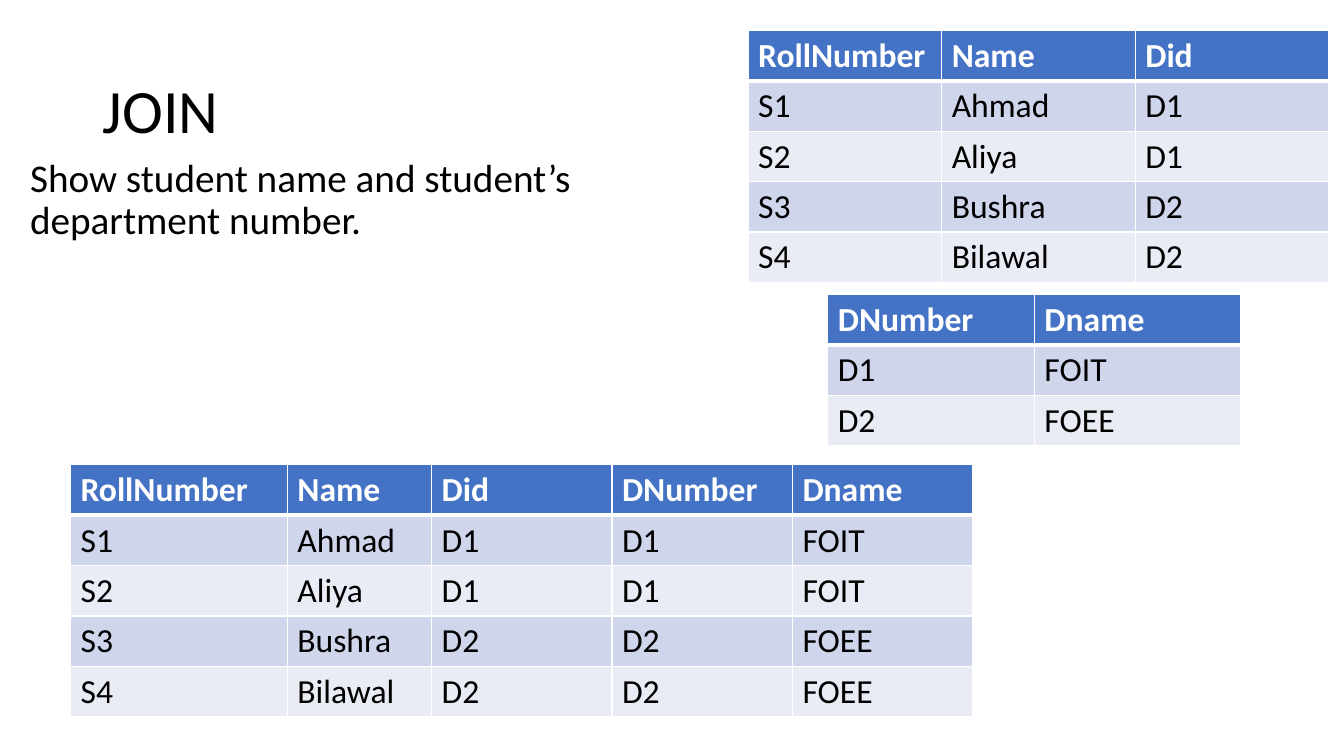
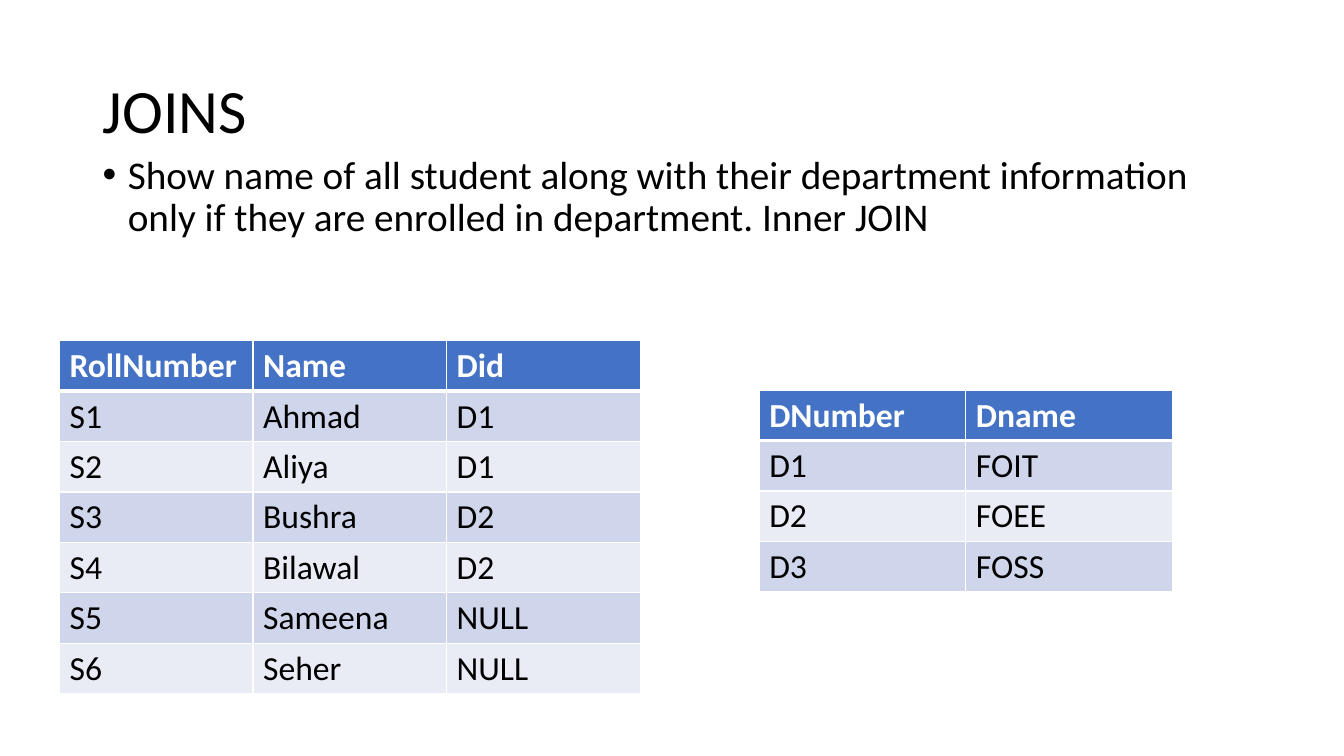
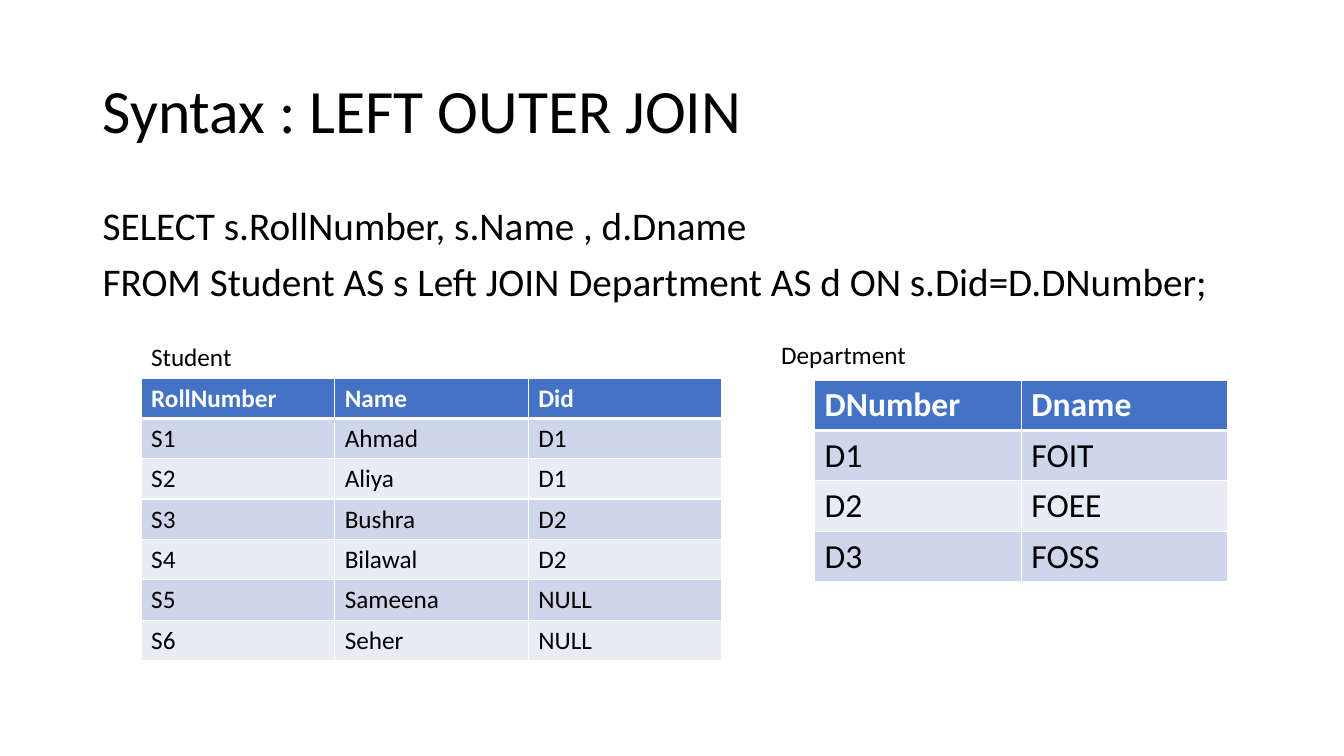
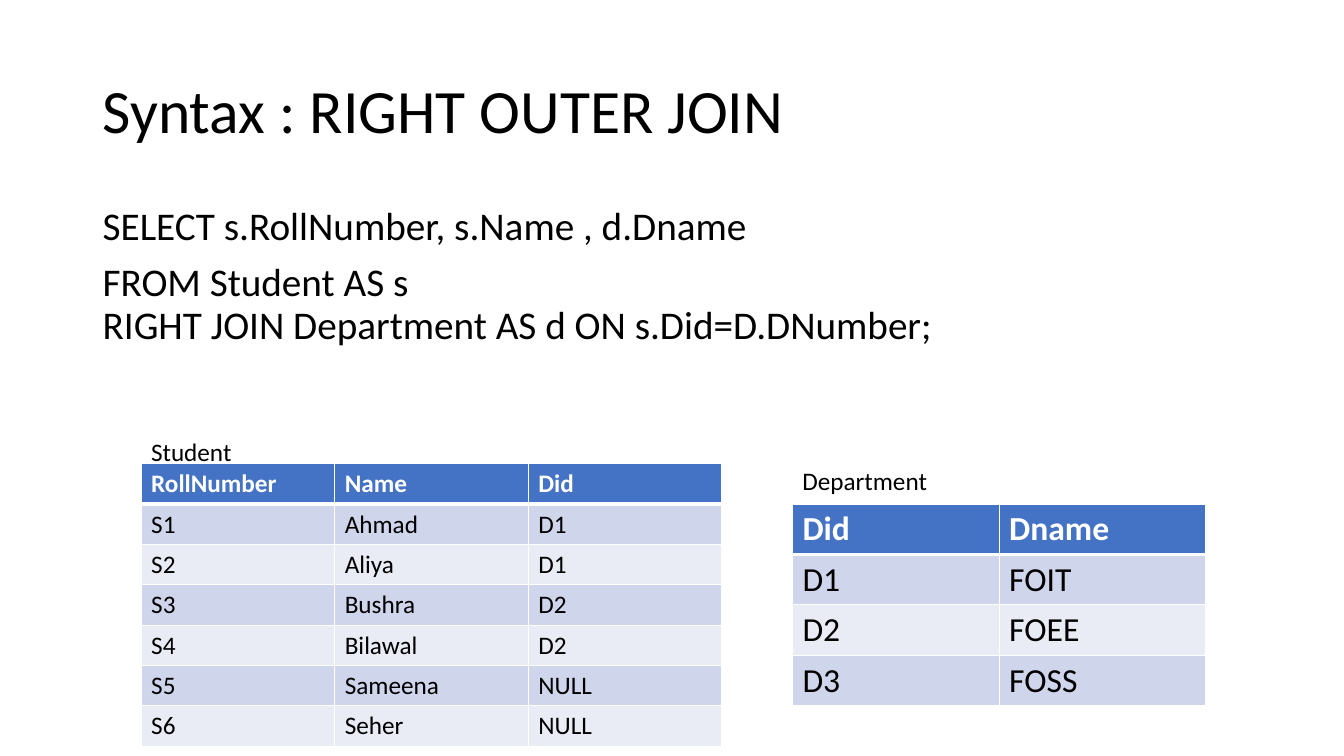
"""Build four slides that explain SQL joins with student and department tables."""
import pptx
import pptx.dml.color
import pptx.enum.text
import pptx.oxml
import pptx.oxml.ns
import pptx.util
from pptx.util import Inches

BLACK = pptx.dml.color.RGBColor(0x00, 0x00, 0x00)
WHITE = pptx.dml.color.RGBColor(0xFF, 0xFF, 0xFF)
HEADER_BLUE = pptx.dml.color.RGBColor(0x44, 0x72, 0xC4)
DARK_BAND = pptx.dml.color.RGBColor(0xCF, 0xD5, 0xEA)
LIGHT_BAND = pptx.dml.color.RGBColor(0xE9, 0xEB, 0xF5)

STUDENT_HEADER = ("RollNumber", "Name", "Did")
STUDENTS = [
    ("S1", "Ahmad", "D1"),
    ("S2", "Aliya", "D1"),
    ("S3", "Bushra", "D2"),
    ("S4", "Bilawal", "D2"),
    ("S5", "Sameena", "NULL"),
    ("S6", "Seher", "NULL"),
]
DEPARTMENT_HEADER = ("DNumber", "Dname")
DEPARTMENTS = [("D1", "FOIT"), ("D2", "FOEE"), ("D3", "FOSS")]
STUDENT_WIDTHS = [1.92] * 3
DEPARTMENT_WIDTHS = [2.05] * 2
JOINED_WIDTHS = [2.15, 1.43] + [1.79] * 3


class Deck:
    font_name = "Calibri"
    title_size = 44
    body_size = 28
    label_size = 18
    row_heights = {18: 0.4, 24: 0.5}

    def __init__(self):
        self.presentation = pptx.Presentation()
        self.presentation.slide_width = Inches(13.33)
        self.presentation.slide_height = Inches(7.5)
        self.slide = None

    def style(self, paragraph, size, color=BLACK, bold=False):
        paragraph.font.name = self.font_name
        paragraph.font.size = pptx.util.Pt(size)
        paragraph.font.color.rgb = color
        paragraph.font.bold = bold

    def text_frame(self, left, top, width, height):
        text_box = self.slide.shapes.add_textbox(
            Inches(left), Inches(top), Inches(width), Inches(height))
        text_box.text_frame.word_wrap = True
        return text_box.text_frame

    def new_slide(self, title):
        self.slide = self.presentation.slides.add_slide(self.presentation.slide_layouts[6])
        frame = self.text_frame(0.92, 0.4, 11.5, 1.45)
        frame.vertical_anchor = pptx.enum.text.MSO_ANCHOR.MIDDLE
        paragraph = frame.paragraphs[0]
        paragraph.text = title
        paragraph.line_spacing = 0.9
        self.style(paragraph, self.title_size)

    def body(self, lines, left=0.92, top=2, width=11.5, height=4.76, bullet=False):
        frame = self.text_frame(left, top, width, height)
        for index, line in enumerate(lines):
            paragraph = frame.add_paragraph() if index else frame.paragraphs[0]
            paragraph.text = line
            paragraph.line_spacing = 0.9
            paragraph.space_before = pptx.util.Pt(10)
            if bullet:
                self.add_bullet(paragraph)
            self.style(paragraph, self.body_size)

    def add_bullet(self, paragraph):
        properties = paragraph._p.get_or_add_pPr()
        properties.set("marL", str(Inches(0.25)))
        properties.set("indent", str(Inches(-0.25)))
        namespace = pptx.oxml.ns.nsdecls("a")
        properties.append(pptx.oxml.parse_xml(f'<a:buFont {namespace} typeface="Arial"/>'))
        properties.append(pptx.oxml.parse_xml(f'<a:buChar {namespace} char="•"/>'))

    def label(self, text, left, top):
        paragraph = self.text_frame(left, top, 3, 0.4).paragraphs[0]
        paragraph.text = text
        self.style(paragraph, self.label_size)

    def table(self, header, records, left, top, widths, size=24):
        rows = [header, *records]
        row_height = self.row_heights[size]
        table = self.slide.shapes.add_table(
            len(rows), len(header), Inches(left), Inches(top),
            Inches(sum(widths)), Inches(row_height * len(rows))).table
        for column, width in zip(table.columns, widths):
            column.width = Inches(width)
        for row_index, values in enumerate(rows):
            table.rows[row_index].height = Inches(row_height)
            for column_index, value in enumerate(values):
                self.fill_cell(table.cell(row_index, column_index), value, row_index, size)

    def fill_cell(self, cell, value, row_index, size):
        is_header = row_index == 0
        band = DARK_BAND if row_index % 2 else LIGHT_BAND
        cell.text = value
        self.style(cell.text_frame.paragraphs[0], size,
                   WHITE if is_header else BLACK, is_header)
        cell.fill.solid()
        cell.fill.fore_color.rgb = HEADER_BLUE if is_header else band
        border_widths = {"L": 1, "R": 1, "T": 3 if row_index == 1 else 1,
                         "B": 3 if is_header else 1}
        properties = cell._tc.get_or_add_tcPr()
        for position, (side, width) in enumerate(border_widths.items()):
            properties.insert(position, pptx.oxml.parse_xml(
                f'<a:ln{side} {pptx.oxml.ns.nsdecls("a")} w="{pptx.util.Pt(width)}">'
                f'<a:solidFill><a:srgbClr val="{WHITE}"/></a:solidFill></a:ln{side}>'))

    def students(self, left, top, records=STUDENTS, size=24):
        self.table(STUDENT_HEADER, records, left, top, STUDENT_WIDTHS, size)

    def departments(self, left, top, records=DEPARTMENTS, header=DEPARTMENT_HEADER):
        self.table(header, records, left, top, DEPARTMENT_WIDTHS)


def main():
    deck = Deck()

    deck.new_slide("JOIN")
    deck.body(["Show student name and student’s department number."], 0.2, 1.52, 6.76, 2.31)
    enrolled = STUDENTS[:4]
    names = dict(DEPARTMENTS)
    joined = [(*student, student[2], names[student[2]]) for student in enrolled]
    deck.table(STUDENT_HEADER + DEPARTMENT_HEADER, joined, 0.7, 4.61, JOINED_WIDTHS)
    deck.students(7.42, 0.3, enrolled)
    deck.departments(8.21, 2.92, DEPARTMENTS[:2])

    deck.new_slide("JOINS")
    deck.body(["Show name of all student along with their department information "
               "only if they are enrolled in department. Inner JOIN"], top=1.49, bullet=True)
    deck.students(0.59, 3.38)
    deck.departments(7.53, 3.87)

    select = "SELECT s.RollNumber, s.Name , d.Dname"
    deck.new_slide("Syntax : LEFT OUTER JOIN")
    deck.body([select, "FROM Student AS s Left JOIN Department AS d ON s.Did=D.DNumber;"])
    deck.students(1.4, 3.75, size=18)
    deck.departments(8.08, 3.77)
    deck.label("Student", 1.4, 3.34)
    deck.label("Department", 7.65, 3.32)

    deck.new_slide("Syntax : RIGHT OUTER JOIN")
    deck.body([select, "FROM Student AS s\nRIGHT JOIN Department AS d ON s.Did=D.DNumber;"])
    deck.students(1.4, 4.6, size=18)
    deck.departments(7.86, 5, header=("Did", "Dname"))
    deck.label("Student", 1.4, 4.28)
    deck.label("Department", 7.86, 4.57)

    deck.presentation.save("out.pptx")


if __name__ == "__main__":
    main()
